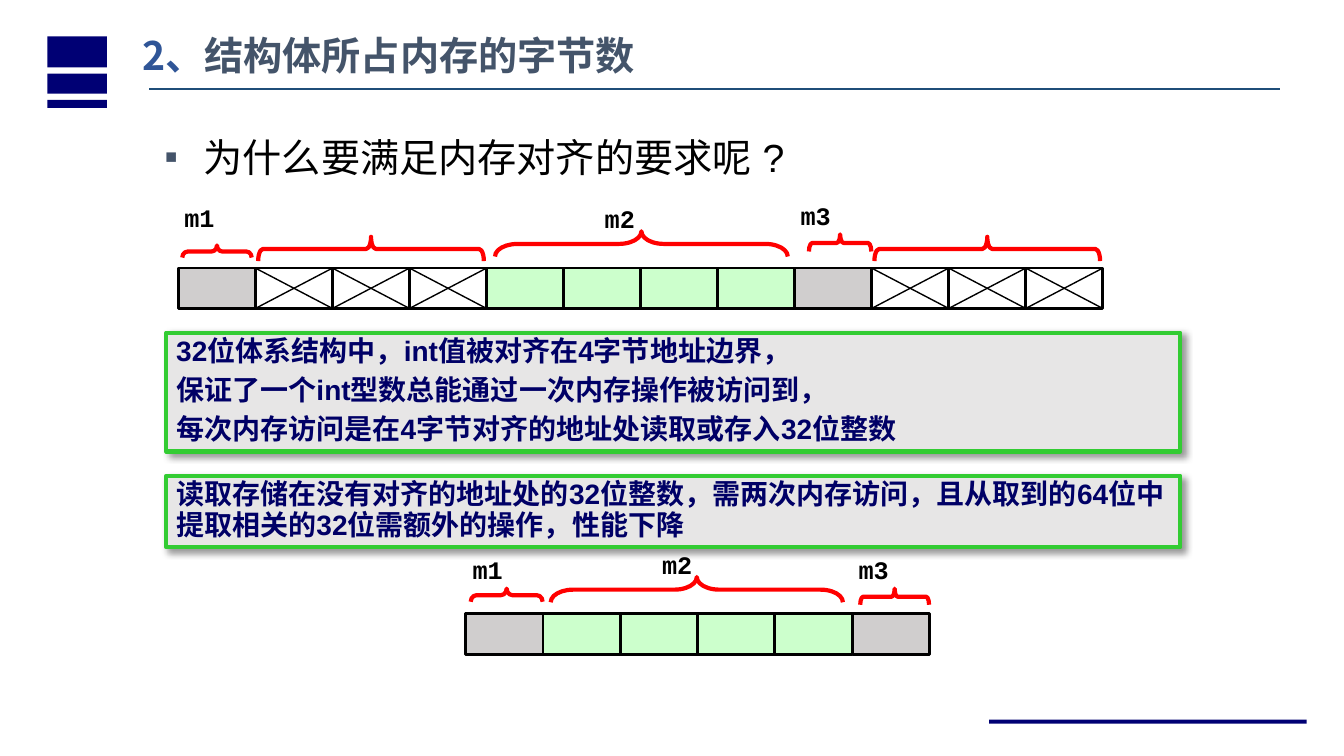
from dataclasses import dataclass

import pptx
import pptx.util
import pptx.dml.color
import pptx.enum.shapes
import pptx.enum.text
import pptx.oxml
import pptx.oxml.ns

RGBColor = pptx.dml.color.RGBColor
SHAPE = pptx.enum.shapes.MSO_SHAPE
GRID = pptx.util.Inches(0.1)  # one column or row of the slide grid
COLUMNS, ROWS = 133.33, 75

NAVY = RGBColor(0x00, 0x00, 0x74)
INK = RGBColor(0x00, 0x00, 0x66)
BLACK = RGBColor(0x00, 0x00, 0x00)
WHITE = RGBColor(0xFF, 0xFF, 0xFF)
SLATE = RGBColor(0x44, 0x54, 0x6A)
BLUE = RGBColor(0x2F, 0x55, 0x97)
RULE_BLUE = RGBColor(0x1F, 0x4E, 0x79)
PANEL_GRAY = RGBColor(0xE7, 0xE6, 0xE6)
PANEL_GREEN = RGBColor(0x33, 0xCC, 0x33)
CHAR_GRAY = RGBColor(0xD0, 0xCE, 0xCE)
INT_GREEN = RGBColor(0xCC, 0xFF, 0xCC)
BRACE_RED = RGBColor(0xFF, 0x00, 0x00)

HEADING_FONT, BODY_FONT, CODE_FONT = "Noto Sans CJK SC", "Arial", "Courier New"
DRAWING = 'xmlns:a="http://schemas.openxmlformats.org/drawingml/2006/main"'


@dataclass
class Field:
    """A run of equal cells; the brace and label are placed from its own corner."""
    name: str
    fill: RGBColor
    cells: int
    brace_shift: float  # cells, from the middle of the field
    brace_length: float  # cells
    brace_rise: float  # rows above the cells
    brace_depth: float
    bend: float
    label_shift: float = 0
    label_rise: float = 0


PADDING = Field("", WHITE, 3, 0, 2.93, 3.1, 2.4, 0.197)
ALIGNED = [
    Field("m1", CHAR_GRAY, 1, 0, 0.9, 2.25, 1.2, 0.445, -0.4, 6.7),
    PADDING,
    Field("m2", INT_GREEN, 4, 0.01, 3.8, 3.65, 2.5, 0.886, 10.74, 6.6),
    Field("m3", CHAR_GRAY, 1, 0.09, 0.81, 3.35, 1.7, 0.197, -0.4, 6.9),
    PADDING,
]
PACKED = [
    Field("m1", CHAR_GRAY, 1, 0.03, 0.93, 2.5, 1.3, 0.445, -0.3, 6.1),
    Field("m2", INT_GREEN, 4, -0.01, 3.78, 3.65, 2.5, 0.885, 10.83, 6.6),
    Field("m3", CHAR_GRAY, 1, 0.05, 0.89, 2.5, 1.6, 0.182, -0.35, 6.1),
]


def grid(*lengths):
    return [round(length * GRID) for length in lengths]


def add_block(shapes, kind, box, fill=None, line=None, width=0):
    block = shapes.add_shape(kind, *grid(*box))
    block.shadow.inherit = False
    if fill is None:
        block.fill.background()
    else:
        block.fill.solid()
        block.fill.fore_color.rgb = fill
    if line is None:
        block.line.fill.background()
    else:
        block.line.color.rgb = line
        block.line.width = pptx.util.Pt(width)
    return block


def add_line(shapes, start, end, color, width):
    line = shapes.add_connector(
        pptx.enum.shapes.MSO_CONNECTOR.STRAIGHT, *grid(*start, *end))
    line.line.color.rgb = color
    line.line.width = pptx.util.Pt(width)
    line._element.spPr.append(pptx.oxml.parse_xml(f"<a:effectLst {DRAWING}/>"))


def style_run(span, font, size, color, bold=True):
    span.font.name = font
    span.font.size = pptx.util.Pt(size)
    span.font.color.rgb = color
    span.font.bold = bold
    east_asian = pptx.oxml.parse_xml(f'<a:ea {DRAWING} typeface="{font}"/>')
    span.font._element.find(pptx.oxml.ns.qn("a:latin")).addnext(east_asian)


def style_paragraph(para, spacing, before=0, after=0):
    para.alignment = pptx.enum.text.PP_ALIGN.LEFT
    para.line_spacing = spacing
    para.space_before = pptx.util.Pt(before)
    para.space_after = pptx.util.Pt(after)


def prepare_text(shape):
    frame = shape.text_frame
    frame.word_wrap = True
    frame.auto_size = pptx.enum.text.MSO_AUTO_SIZE.NONE
    frame.vertical_anchor = pptx.enum.text.MSO_ANCHOR.TOP
    return frame


def move(shape, box):
    shape.left, shape.top, shape.width, shape.height = grid(*box)


def add_decoration(page, box):
    left, top, width, height = box
    for offset, bar in ((0, 3.1), (3.7, 2), (6.3, 0.8)):
        add_block(page.shapes, SHAPE.RECTANGLE, (left + 4.7, top + offset + 3.6, 5.9, bar), NAVY)
    add_block(page.shapes, SHAPE.RECTANGLE,
              (left + width - 35.2, top + height - 3.6, 31.5, 0.4), NAVY)
    add_line(page.shapes, (left + 14.8, top + 8.8), (left + width - 6.3, top + 8.8),
             RULE_BLUE, 1.25)


def fill_title(page, box):
    title = page.shapes.title
    move(title, box)
    para = prepare_text(title).paragraphs[0]
    style_paragraph(para, 0.9)
    for words, color in (("2、", BLUE), ("结构体所占内存的字节数", SLATE)):
        span = para.add_run()
        span.text = words
        style_run(span, HEADING_FONT, 28, color)


def fill_question(page, box):
    body = page.placeholders[1]
    move(body, box)
    para = prepare_text(body).paragraphs[0]
    para.text = "为什么要满足内存对齐的要求呢 ?"
    style_paragraph(para, 1.2, 6)
    style_run(para.runs[0], BODY_FONT, 28, BLACK, False)
    properties = para._p.get_or_add_pPr()
    indent = grid(3.8)[0]
    properties.set("marL", str(indent))
    properties.set("indent", str(-indent))
    for bullet in (f'<a:buClr {DRAWING}><a:srgbClr val="{SLATE}"/></a:buClr>',
                   f'<a:buSzPct {DRAWING} val="50000"/>',
                   f'<a:buFont {DRAWING} typeface="{BODY_FONT}"/>',
                   f'<a:buChar {DRAWING} char="■"/>'):
        properties.append(pptx.oxml.parse_xml(bullet))


def add_panel(page, box, lines, before, after):
    panel = add_block(page.shapes, SHAPE.RECTANGLE, box, PANEL_GRAY, PANEL_GREEN, 3)
    effects = panel._element.spPr.find(pptx.oxml.ns.qn("a:effectLst"))
    effects.append(pptx.oxml.parse_xml(
        f'<a:outerShdw {DRAWING} blurRad="{pptx.util.Pt(5)}" dist="{pptx.util.Pt(3)}" '
        'dir="2700000" algn="tl" rotWithShape="0"><a:srgbClr val="000000">'
        '<a:alpha val="40000"/></a:srgbClr></a:outerShdw>'))
    frame = prepare_text(panel)
    frame.text = "\n".join(lines)
    for para in frame.paragraphs:
        style_paragraph(para, 0.9, before, after)
        style_run(para.runs[0], BODY_FONT, 20, INK)


def add_brace(shapes, middle, top, length, depth, bend):
    """Turn a left brace about its centre so that its tip points up."""
    box = (middle - depth / 2, top + depth / 2 - length / 2, depth, length)
    brace = add_block(shapes, SHAPE.LEFT_BRACE, box, line=BRACE_RED, width=3)
    brace.adjustments[0] = bend
    brace.rotation = 90


def add_label(shapes, left, top, name):
    label = shapes.add_textbox(*grid(left, top, 8.5, 4))
    frame = prepare_text(label)
    frame.text = name
    style_paragraph(frame.paragraphs[0], 0.9)
    style_run(frame.paragraphs[0].runs[0], CODE_FONT, 18, BLACK)


def add_memory_row(page, box, fields):
    left, top, width, height = box
    cell = width / sum(field.cells for field in fields)
    shapes = page.shapes.add_group_shape().shapes
    for field in fields:
        for index in range(field.cells):
            start, end = left + index * cell, left + (index + 1) * cell
            add_block(shapes, SHAPE.RECTANGLE, (start, top, cell, height), field.fill, BLACK, 2)
            if field is PADDING:
                add_line(shapes, (start, top), (end, top + height), BLACK, 1)
                add_line(shapes, (end, top), (start, top + height), BLACK, 1)
        middle = left + (field.cells / 2 + field.brace_shift) * cell
        add_brace(shapes, middle, top - field.brace_rise, field.brace_length * cell,
                  field.brace_depth, field.bend)
        if field.name:
            add_label(shapes, left + field.label_shift, top - field.label_rise, field.name)
        left += field.cells * cell


def main():
    deck = pptx.Presentation()
    deck.slide_width, deck.slide_height = grid(COLUMNS, ROWS)
    page = deck.slides.add_slide(deck.slide_layouts[1])
    add_decoration(page, (0, 0, COLUMNS, ROWS))
    fill_title(page, (13.1, 3.1, 74.6, 10.4))
    fill_question(page, (15.4, 11.8, 82, 7.1))
    add_panel(page, (16.5, 33, 100.6, 11.8), [
        "32位体系结构中，int值被对齐在4字节地址边界，",
        "保证了一个int型数总能通过一次内存操作被访问到，",
        "每次内存访问是在4字节对齐的地址处读取或存入32位整数"], 6, 0)
    add_panel(page, (16.5, 47.2, 100.6, 7.1), [
        "读取存储在没有对齐的地址处的32位整数，需两次内存访问，且从取到的64位"
        "中提取相关的32位需额外的操作，性能下降"], 5.9, 5.9)
    add_memory_row(page, (17.7, 26.6, 91.7, 4), ALIGNED)
    add_memory_row(page, (46.2, 60.9, 46, 4), PACKED)
    deck.save("out.pptx")


if __name__ == "__main__":
    main()
